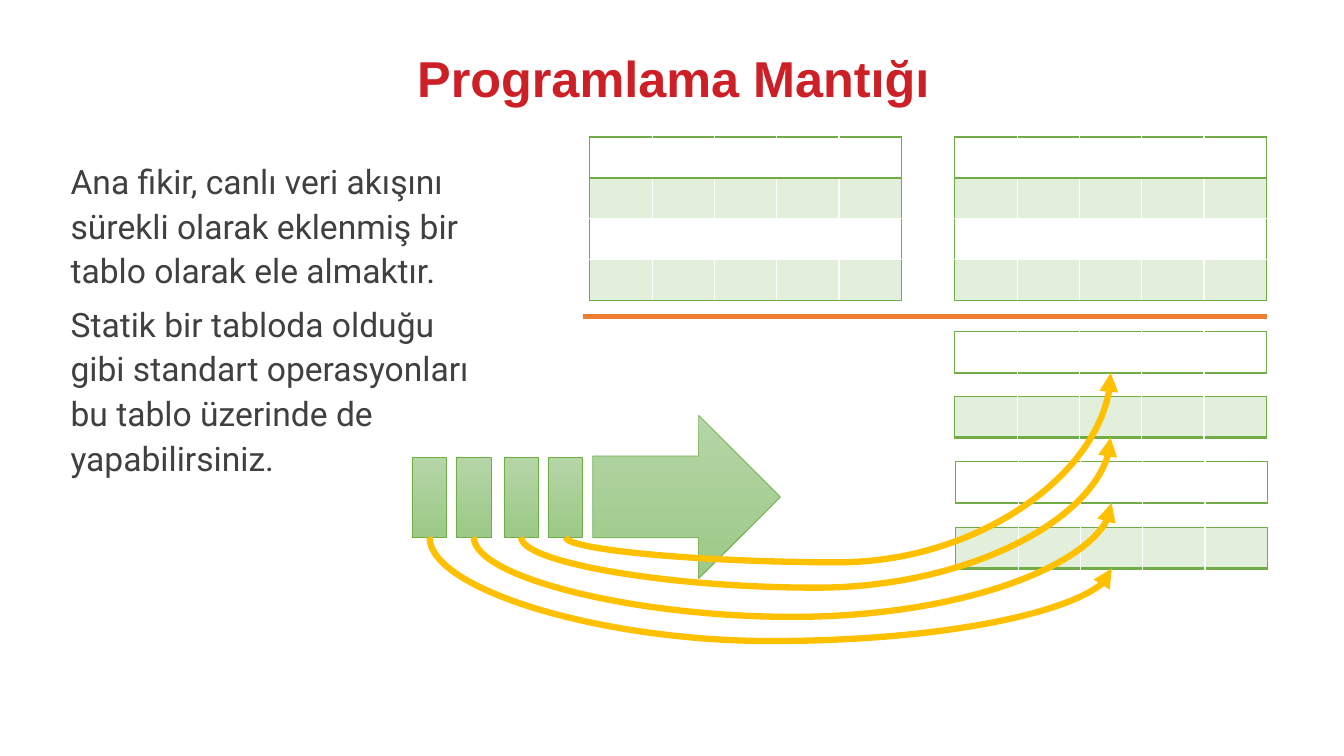
from lxml import etree
from pptx import Presentation
from pptx.dml.color import RGBColor
from pptx.enum.shapes import MSO_CONNECTOR, MSO_SHAPE
from pptx.enum.text import MSO_ANCHOR, MSO_AUTO_SIZE, PP_ALIGN
from pptx.oxml.ns import qn
from pptx.util import Pt

SCALE = 9144  # EMU per px, 100 px to the inch
RECT, ARROW = MSO_SHAPE.RECTANGLE, MSO_SHAPE.RIGHT_ARROW
LINE, CURVE = MSO_CONNECTOR.STRAIGHT, MSO_CONNECTOR.CURVE
LEFT, CENTER = PP_ALIGN.LEFT, PP_ALIGN.CENTER
TOP, BOTTOM = MSO_ANCHOR.TOP, MSO_ANCHOR.BOTTOM

RED, GRAY, GREEN, PALE = "CD1F26", "404041", "70AD47", "E2EFDA"
ORANGE, GOLD = "ED7D31", "FFC000"
SHADES = ("B5D5A7", "9CC987")
COLS, WIDE, HIGH = 5, 309, 41

TITLE = "Programlama Mantığı"
BODY = [
    "Ana fikir, canlı veri akışını sürekli olarak eklenmiş bir tablo olarak ele almaktır.",
    "Statik bir tabloda olduğu gibi standart operasyonları bu tablo üzerinde de yapabilirsiniz.",
]
# Left and top of each new row, left of its bar, lowest level of its curve
FLOWS = [
    (947, 329, 544, 558),
    (947, 393, 500, 583),
    (948, 458, 453, 612),
    (948, 523, 409, 636),
]
BAR_TOP, BAR_WIDE, BAR_HIGH = 454, 34, 79


def px(*nums):
    return [round(n * SCALE) for n in nums]


def color(code):
    return RGBColor.from_string(code)


def add_sub(parent, tag, **attrs):
    node = etree.SubElement(parent, qn(tag))
    for key, value in attrs.items():
        node.set(key, str(value))
    return node


def set_text(holder, box, lines, font, size, tint, align, anchor, bold=False):
    holder.left, holder.top, holder.width, holder.height = px(*box)
    frame = holder.text_frame
    frame.text = "\n".join(lines)
    frame.word_wrap = True
    frame.auto_size = MSO_AUTO_SIZE.NONE
    frame.vertical_anchor = anchor
    for para in frame.paragraphs:
        para.alignment = align
        para.space_before = Pt(0)
        for run in para.runs:
            run.font.name, run.font.size, run.font.bold = font, Pt(size), bold
            run.font.color.rgb = color(tint)
    return frame


def add_edge(cell, side, width):
    edge = add_sub(cell._tc.get_or_add_tcPr(), side, w=Pt(width))
    add_sub(add_sub(edge, "a:solidFill"), "a:srgbClr", val=GREEN)


def add_grid(slide, x, y, rows, height, shift=0):
    frame = slide.shapes.add_table(rows, COLS, *px(x, y, WIDE, height))
    table = frame.table
    table.first_row = table.horz_banding = False
    for r in range(rows):
        for c in range(COLS):
            cell = table.cell(r, c)
            cell.margin_top = cell.margin_bottom = 0
            # Each inner edge belongs to one cell only
            if c == 0:
                add_edge(cell, "a:lnL", 1)
            add_edge(cell, "a:lnR", 1)
            if r == 0:
                add_edge(cell, "a:lnT", 1)
            add_edge(cell, "a:lnB", 2 if r == 0 else 1)
            if (r + shift) % 2:
                cell.fill.solid()
                cell.fill.fore_color.rgb = color(PALE)
            else:
                cell.fill.background()


def add_block(slide, kind, box):
    block = slide.shapes.add_shape(kind, *px(*box))
    block.shadow.inherit = False
    block.fill.gradient()
    block.fill.gradient_angle = 270
    for i, stop in enumerate(block.fill.gradient_stops):
        stop.color.rgb = color(SHADES[i])
        stop.position = i
    block.line.color.rgb = color(GREEN)
    block.line.width = Pt(0.5)


def add_link(slide, kind, ends, tint, width):
    link = slide.shapes.add_connector(kind, *px(*ends))
    link.line.color.rgb = color(tint)
    link.line.width = Pt(width)
    add_sub(link.element.spPr, "a:effectLst")
    return link


def add_curve(slide, x1, y1, x2, y2, low):
    # The frame is turned a quarter, so its sides swap around the centre
    wide, high = abs(y2 - y1), x2 - x1
    x, y = (x1 + x2 - wide) / 2, (y1 + y2 - high) / 2
    link = add_link(slide, CURVE, (x, y, x + wide, y + high), GOLD, 4.5)
    props = link.element.spPr
    frame = props.find(qn("a:xfrm"))
    down = y2 > y1
    frame.set("rot", str((270 if down else 90) * 60000))
    frame.set("flipH", "1")
    if not down:
        frame.set("flipV", "1")
    bend = round((low - y1) / (y2 - y1) * 100000)
    guides = props.find(qn("a:prstGeom")).find(qn("a:avLst"))
    add_sub(guides, "a:gd", name="adj1", fmla=f"val {bend}")
    add_sub(props.find(qn("a:ln")), "a:tailEnd", type="triangle")


def main():
    deck = Presentation()
    deck.slide_width, deck.slide_height = px(1333, 750)
    slide = deck.slides.add_slide(deck.slide_layouts[0])

    # Title and text
    title, body = slide.placeholders
    head = set_text(title, (324, 39, 688, 74), [TITLE], "Arial", 36, RED,
                    CENTER, BOTTOM, True)
    head.paragraphs[0].line_spacing = 0.9
    text = set_text(body, (60, 150, 426, 329), BODY, "Roboto", 24, GRAY, LEFT, TOP)
    for para in text.paragraphs:
        para.line_spacing, para.space_after = Pt(32), Pt(6)

    # Full tables
    for x in (585, 947):
        add_grid(slide, x, 136, 4, 162)

    # Stream arrow, its bars and the new rows
    add_block(slide, ARROW, (588, 412, 186, 162))
    for i, (x, y, bar, low) in enumerate(FLOWS):
        add_block(slide, RECT, (bar, BAR_TOP, BAR_WIDE, BAR_HIGH))
        add_grid(slide, x, y, 1, HIGH, i)

    # Divider and curves from bars to rows
    add_link(slide, LINE, (578, 314, 1257, 314), ORANGE, 3)
    for x, y, bar, low in FLOWS:
        add_curve(slide, bar + BAR_WIDE / 2, BAR_TOP + BAR_HIGH,
                  x + WIDE / 2, y + HIGH, low)

    deck.save("out.pptx")


if __name__ == "__main__":
    main()
